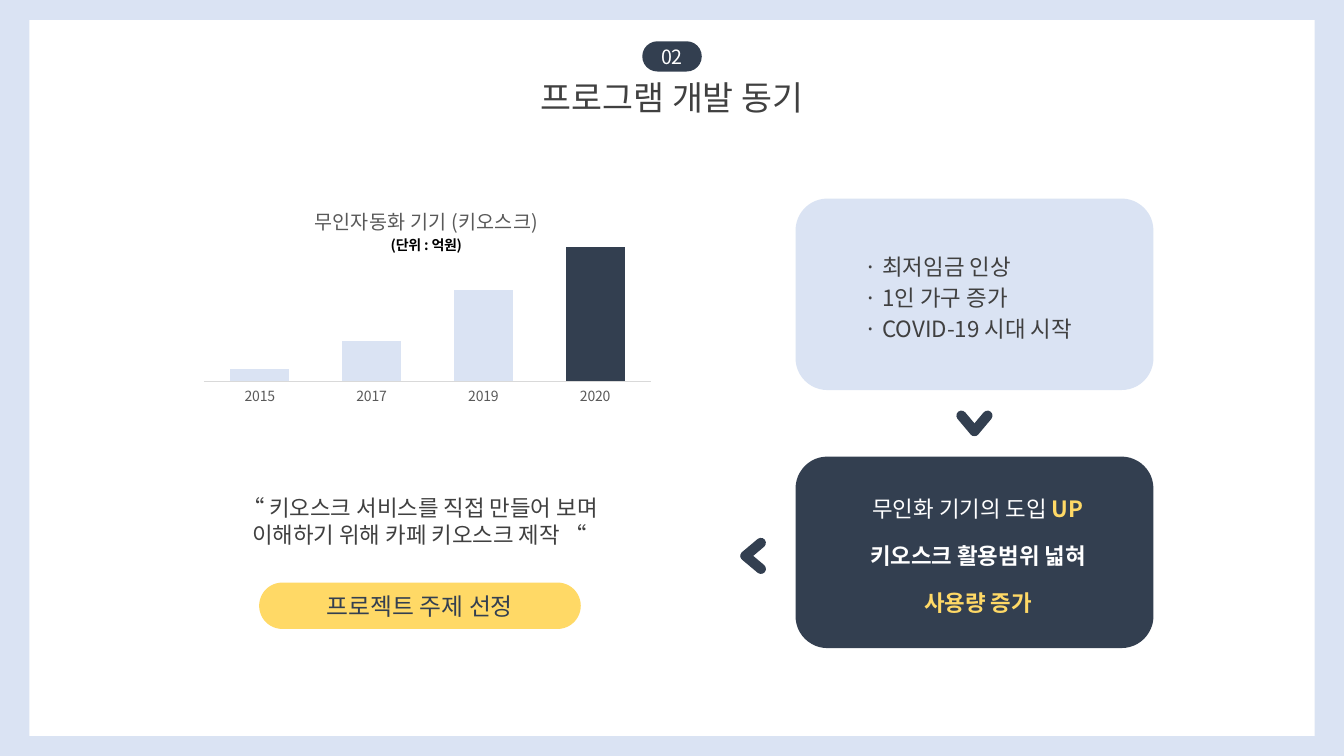
"""Build the slide on why the kiosk program was developed."""
from dataclasses import dataclass

from lxml.etree import SubElement
from pptx import Presentation
from pptx.chart.data import CategoryChartData
from pptx.dml.color import RGBColor
from pptx.enum.chart import XL_CHART_TYPE, XL_TICK_MARK
from pptx.enum.shapes import MSO_SHAPE
from pptx.enum.text import MSO_ANCHOR, MSO_AUTO_SIZE, PP_ALIGN
from pptx.oxml import parse_xml
from pptx.oxml.ns import nsdecls, qn
from pptx.util import Pt

EMU_PER_PX = 9144


@dataclass(frozen=True)
class Theme:
    """Colours, font and type sizes of the slide."""
    font: str = "Noto Sans CJK KR"
    navy: str = "333F50"
    pale: str = "DAE3F3"
    yellow: str = "FFD966"
    white: str = "FFFFFF"
    black: str = "000000"
    ink: str = "404040"
    gray: str = "595959"
    rule: str = "D9D9D9"
    heading: int = 24
    button: int = 17
    body: int = 16
    label: int = 14
    small: int = 10


THEME = Theme()


def px(*lengths):
    """Turn pixel lengths into EMU."""
    return [length * EMU_PER_PX for length in lengths]


def color(value):
    """Return a colour object for a hex value."""
    return RGBColor.from_string(value)


def write(paragraph, text, size=THEME.body, ink=THEME.ink, bold=False):
    """Add a formatted run to a paragraph."""
    run = paragraph.add_run()
    run.text = text
    run.font.name = THEME.font
    run.font.size = Pt(size)
    run.font.bold = bold
    run.font.color.rgb = color(ink)
    SubElement(run.font._element, qn("a:ea"), typeface=THEME.font)


def add_block(shapes, box, fill, kind=MSO_SHAPE.ROUNDED_RECTANGLE, radius=None, rotation=0):
    """Add a flat filled shape."""
    shape = shapes.add_shape(kind, *px(*box))
    shape.shadow.inherit = False
    shape.fill.solid()
    shape.fill.fore_color.rgb = color(fill)
    shape.line.fill.background()
    shape.rotation = rotation
    if radius is not None:
        shape.adjustments[0] = radius
    return shape


def add_pill(shapes, box, fill, text, **text_format):
    """Add a fully rounded label with centred text."""
    frame = add_block(shapes, box, fill, radius=0.5).text_frame
    frame.word_wrap = True
    frame.vertical_anchor = MSO_ANCHOR.MIDDLE
    frame.paragraphs[0].alignment = PP_ALIGN.CENTER
    write(frame.paragraphs[0], text, **text_format)


def add_text(shapes, box, lines, align=PP_ALIGN.CENTER, indented=False, spacing=None):
    """Add a text box whose lines are lists of (text, format) runs."""
    frame = shapes.add_textbox(*px(*box)).text_frame
    frame.word_wrap = True
    frame.auto_size = MSO_AUTO_SIZE.SHAPE_TO_FIT_TEXT
    for index, runs in enumerate(lines):
        paragraph = frame.add_paragraph() if index else frame.paragraphs[0]
        paragraph.alignment = align
        if indented:
            properties = paragraph._p.get_or_add_pPr()
            margin, indent = px(34, 12)
            properties.set("marL", str(margin))
            properties.set("indent", str(indent))
            paragraph.space_after = Pt(3)
        if spacing:
            paragraph.line_spacing = spacing
        for text, text_format in runs:
            write(paragraph, text, **text_format)


def add_chevron(shapes, first, second, angle):
    """Add a group of two bars tilted in opposite directions."""
    group = shapes.add_group_shape()
    for corner, tilt in ((first, angle), (second, -angle)):
        add_block(group.shapes, (*corner, 30, 10), THEME.navy, radius=0.5, rotation=tilt)


def place(element, index, **fractions):
    """Give a chart part a manual layout in fractions of the chart."""
    for layout in element.findall(qn("c:layout")):
        element.remove(layout)
    target = '<c:layoutTarget val="inner"/>' if "w" in fractions else ""
    modes = "".join(f'<c:{key}Mode val="edge"/>' for key in "xy")
    values = "".join(f'<c:{key} val="{value}"/>' for key, value in fractions.items())
    element.insert(index, parse_xml(
        f'<c:layout {nsdecls("c")}><c:manualLayout>{target}{modes}{values}'
        "</c:manualLayout></c:layout>"))


def add_market_chart(shapes):
    """Add the column chart of the kiosk market."""
    data = CategoryChartData()
    data.categories = ["2015", "2017", "2019", "2020"]
    data.add_series("Series 1", (9, 30, 68, 100))
    chart = shapes.add_chart(XL_CHART_TYPE.COLUMN_CLUSTERED, *px(193, 155, 462, 251), data).chart
    chart.has_legend = False
    chart.font.name = THEME.font
    chart.font.size = Pt(THEME.small)
    chart.font.color.rgb = color(THEME.gray)

    title = chart.chart_title
    frame = title.text_frame
    write(frame.paragraphs[0], "무인자동화 기기 (키오스크)", size=THEME.label, ink=THEME.gray)
    write(frame.add_paragraph(), "(단위 : 억원)", size=THEME.small, ink=THEME.black, bold=True)
    title.include_in_layout = False
    place(title._element, 1, x=0.25, y=0.18)
    place(chart._chartSpace.chart.plotArea, 0, x=0.02, y=0.36, w=0.96, h=0.53)

    chart.value_axis.visible = False
    chart.value_axis.has_major_gridlines = False
    chart.value_axis.minimum_scale = 0
    chart.value_axis.maximum_scale = 100
    axis = chart.category_axis
    axis.major_tick_mark = XL_TICK_MARK.NONE
    axis.format.line.color.rgb = color(THEME.rule)
    axis.format.line.width = Pt(0.75)

    plot = chart.plots[0]
    plot.gap_width = 90
    plot.overlap = -11
    plot.vary_by_categories = False
    series = plot.series[0]
    for part, fill in ((series, THEME.pale), (series.points[3], THEME.navy)):
        part.format.fill.solid()
        part.format.fill.fore_color.rgb = color(fill)


def main():
    """Build and save the slide."""
    presentation = Presentation()
    presentation.slide_width, presentation.slide_height = px(1333, 750)
    slide = presentation.slides.add_slide(presentation.slide_layouts[6])
    slide.background.fill.solid()
    slide.background.fill.fore_color.rgb = color(THEME.pale)
    shapes = slide.shapes

    add_block(shapes, (29, 20, 1275, 710), THEME.white, kind=MSO_SHAPE.RECTANGLE)
    add_pill(shapes, (637, 41, 59, 30), THEME.navy, "02", size=THEME.label, ink=THEME.white)
    add_text(shapes, (419, 71, 495, 50), [[("프로그램 개발 동기", {"size": THEME.heading})]])
    add_market_chart(shapes)

    add_chevron(shapes, (732, 553), (732, 540), 40)
    add_chevron(shapes, (945, 415), (958, 415), 50)

    add_block(shapes, (789, 453, 355, 190), THEME.navy)
    white_text = {"ink": THEME.white}
    highlight = {"ink": THEME.yellow, "bold": True}
    add_text(shapes, (782, 470, 330, 182), [
        [("무인화 기기의 도입 ", white_text), ("UP", highlight)],
        [("키오스크 활용범위 넓혀", {**white_text, "bold": True})],
        [("사용량 증가", highlight)],
    ], indented=True, spacing=1.6)

    add_block(shapes, (789, 197, 355, 190), THEME.pale)
    causes = ("· 최저임금 인상", "· 1인 가구 증가", "· COVID-19 시대 시작")
    add_text(shapes, (802, 246, 330, 99), [[(cause, {})] for cause in causes],
             align=PP_ALIGN.LEFT, indented=True)

    add_pill(shapes, (257, 578, 319, 46), THEME.yellow, "프로젝트 주제 선정",
             size=THEME.button, ink=THEME.navy)
    quote = ("“ 키오스크 서비스를 직접 만들어 보며", "이해하기 위해 카페 키오스크 제작 “")
    add_text(shapes, (193, 485, 447, 104), [[(line, {})] for line in quote])

    presentation.save("out.pptx")


if __name__ == "__main__":
    main()
